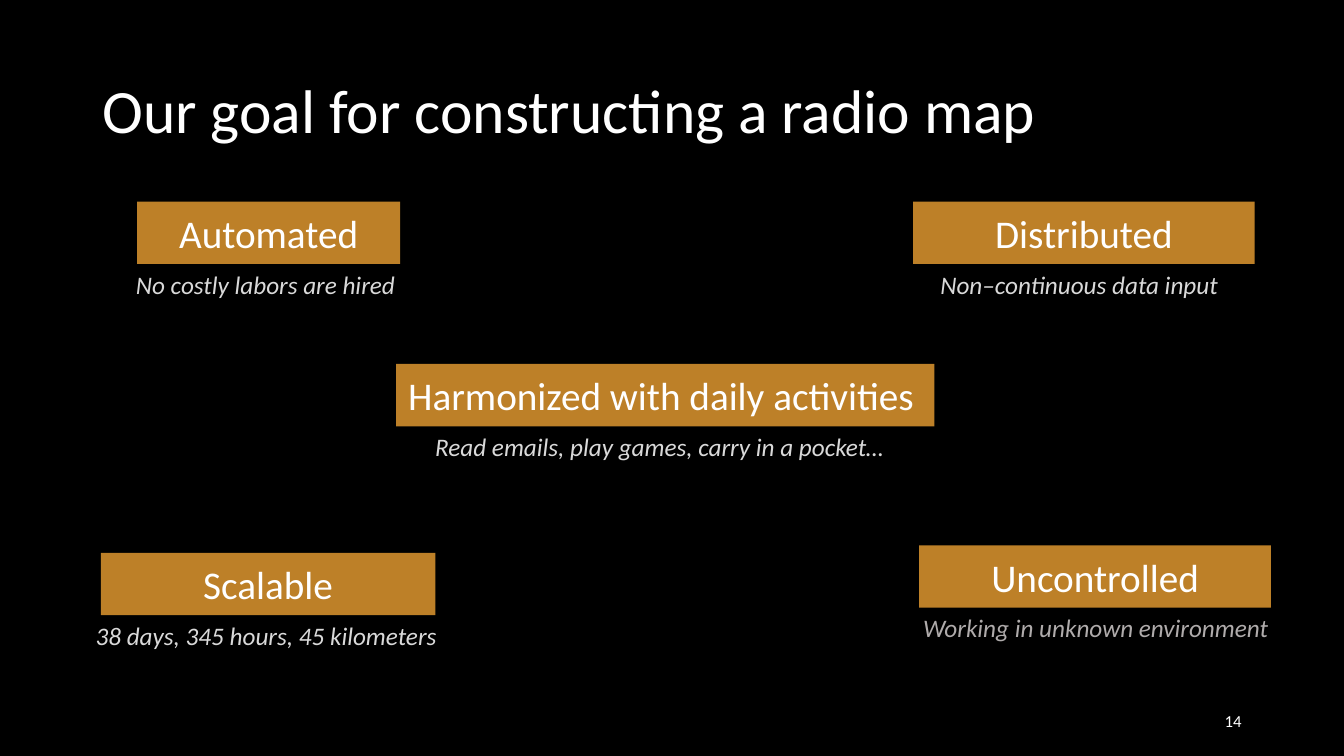
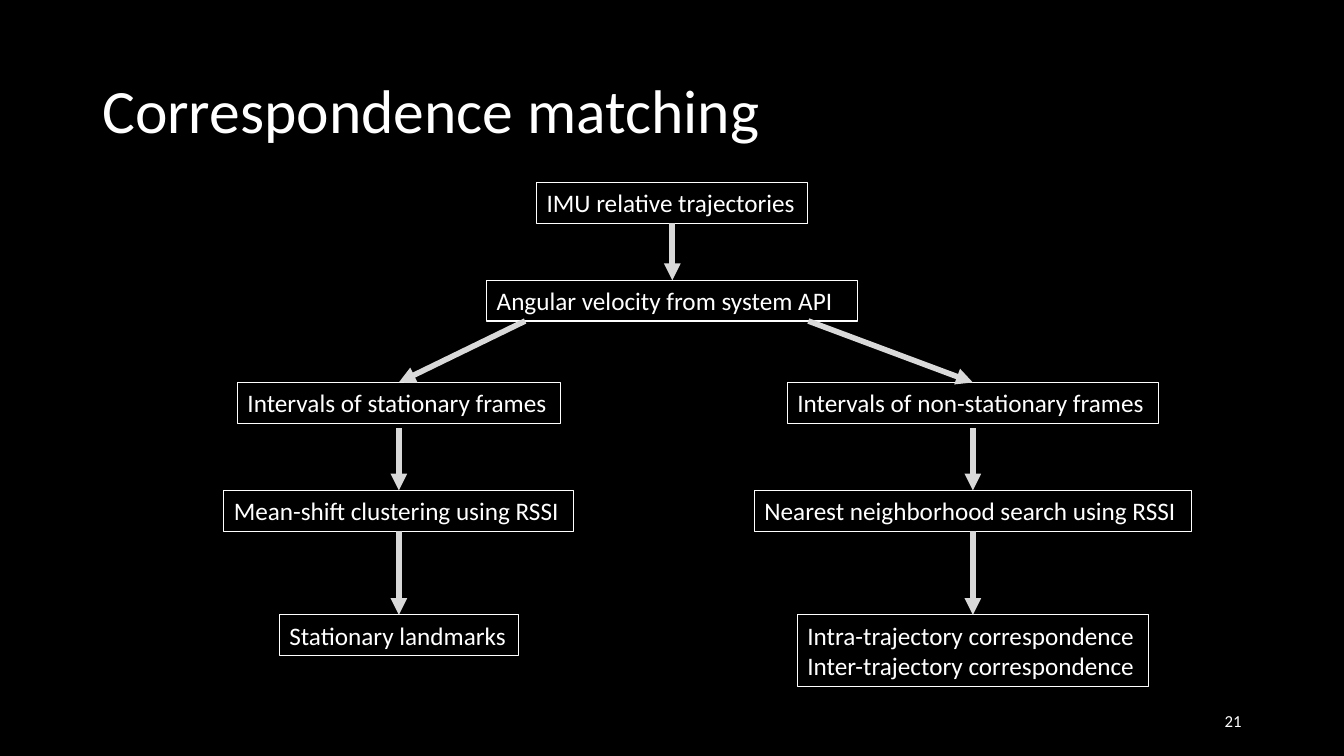
from lxml.etree import SubElement
from pptx import Presentation
from pptx.dml.color import RGBColor
from pptx.enum.shapes import MSO_CONNECTOR, MSO_SHAPE
from pptx.enum.text import MSO_ANCHOR, PP_ALIGN
from pptx.oxml.ns import qn
from pptx.util import Pt

BLACK = RGBColor(0x00, 0x00, 0x00)
WHITE = RGBColor(0xFF, 0xFF, 0xFF)
OCHRE = RGBColor(0xBD, 0x80, 0x28)
LIGHT_GRAY = RGBColor(0xD9, 0xD9, 0xD9)
DIM_GRAY = RGBColor(0xAF, 0xAB, 0xAB)

FONT = "Calibri"
BADGE_HEIGHT = 44.6
NODE_HEIGHT = 29.1
LINE_HEIGHT = 22

# Flow chart: column centres and row tops
LEFT, MIDDLE, RIGHT = 284.9, 480.2, 694.9
START_TOP, VELOCITY_TOP, INTERVAL_TOP, SEARCH_TOP, RESULT_TOP = 130.3, 200.2, 273.2, 350.3, 439.2


def write(shape, text, size=18, color=WHITE, italic=False, align=PP_ALIGN.LEFT,
          anchor=MSO_ANCHOR.TOP, line_spacing=None):
    """Fill a shape with text, one paragraph per line."""
    frame = shape.text_frame
    frame.word_wrap = True
    frame.vertical_anchor = anchor
    frame.text = text
    for para in frame.paragraphs:
        para.alignment = align
        para.line_spacing = line_spacing
        para.font.name = FONT
        para.font.size = Pt(size)
        para.font.italic = italic
        para.font.color.rgb = color


def add_text(page, left, top, width, height, text, **style):
    box = page.shapes.add_textbox(Pt(left), Pt(top), Pt(width), Pt(height))
    write(box, text, **style)


def add_box(page, left, top, width, height, text, fill=None, line=None, **style):
    box = page.shapes.add_shape(MSO_SHAPE.RECTANGLE, Pt(left), Pt(top), Pt(width), Pt(height))
    box.shadow.inherit = False
    if fill is None:
        box.fill.background()
    else:
        box.fill.solid()
        box.fill.fore_color.rgb = fill
    if line is None:
        box.line.fill.background()
    else:
        box.line.color.rgb = line
        box.line.width = Pt(0.75)
    write(box, text, **style)


def add_page(deck, title, number):
    page = deck.slides.add_slide(deck.slide_layouts[6])
    page.background.fill.solid()
    page.background.fill.fore_color.rgb = BLACK
    add_text(page, 66, 28.8, 828, 104.4, title, size=44,
             anchor=MSO_ANCHOR.MIDDLE, line_spacing=0.9)
    add_text(page, 678, 500.5, 216, 28.8, str(number), size=12,
             align=PP_ALIGN.RIGHT, anchor=MSO_ANCHOR.MIDDLE)
    return page


def add_goal(page, left, top, width, name, caption, caption_left, caption_width,
             caption_color=LIGHT_GRAY):
    """Draw a filled badge with a caption right below it."""
    add_box(page, left, top, width, BADGE_HEIGHT, name, fill=OCHRE, size=28,
            align=PP_ALIGN.CENTER, anchor=MSO_ANCHOR.MIDDLE)
    add_text(page, caption_left, top + BADGE_HEIGHT, caption_width, NODE_HEIGHT, caption,
             color=caption_color, italic=True)


def add_node(page, center, top, width, text):
    height = NODE_HEIGHT + LINE_HEIGHT * text.count("\n")
    add_box(page, center - width / 2, top, width, height, text, line=WHITE)


def add_arrow(page, start_x, start_y, end_x, end_y):
    arrow = page.shapes.add_connector(MSO_CONNECTOR.STRAIGHT, Pt(start_x), Pt(start_y),
                                      Pt(end_x), Pt(end_y))
    arrow.line.color.rgb = LIGHT_GRAY
    arrow.line.width = Pt(4)
    SubElement(arrow.line._get_or_add_ln(), qn("a:tailEnd"), type="triangle")
    SubElement(arrow._element.spPr, qn("a:effectLst"))


def build_goals(deck):
    page = add_page(deck, "Our goal for constructing a radio map", 14)
    goals = [
        (97.9, 144, 188, "Automated", "No costly labors are hired", 90, 202.3),
        (283, 259.9, 384.5, "Harmonized with daily activities ",
         "Read emails, play games, carry in a pocket…", 303.8, 342.7),
        (652.3, 144, 244, "Distributed", "Non–continuous data input", 664.6, 218.9),
        (656.6, 389.5, 251.3, "Uncontrolled", "Working in unknown environment",
         652.3, 267.1, DIM_GRAY),
        (72, 394.9, 239, "Scalable", "38 days, 345 hours, 45 kilometers", 61.2, 260.6),
    ]
    for goal in goals:
        add_goal(page, *goal)


def build_matching(deck):
    page = add_page(deck, "Correspondence matching", 21)
    nodes = [
        (MIDDLE, START_TOP, 193.7, "IMU relative trajectories"),
        (MIDDLE, VELOCITY_TOP, 265, "Angular velocity from system API"),
        (LEFT, INTERVAL_TOP, 230.4, "Intervals of stationary frames"),
        (RIGHT, INTERVAL_TOP, 265, "Intervals of non-stationary frames"),
        (LEFT, SEARCH_TOP, 250, "Mean-shift clustering using RSSI"),
        (RIGHT, SEARCH_TOP, 311.8, "Nearest neighborhood search using RSSI"),
        (LEFT, RESULT_TOP, 170.6, "Stationary landmarks"),
        (RIGHT, RESULT_TOP, 250.6,
         "Intra-trajectory correspondence\nInter-trajectory correspondence"),
    ]
    for node in nodes:
        add_node(page, *node)

    add_arrow(page, MIDDLE, START_TOP + NODE_HEIGHT, MIDDLE, VELOCITY_TOP)
    for branch_x, column in ((375.1, LEFT), (577.4, RIGHT)):
        add_arrow(page, branch_x, VELOCITY_TOP + NODE_HEIGHT, column, INTERVAL_TOP)
        add_arrow(page, column, INTERVAL_TOP + NODE_HEIGHT + 3.5, column, SEARCH_TOP)
        add_arrow(page, column, SEARCH_TOP + NODE_HEIGHT, column, RESULT_TOP)


def main():
    deck = Presentation()
    deck.slide_width = Pt(960)
    deck.slide_height = Pt(540)
    build_goals(deck)
    build_matching(deck)
    deck.save("out.pptx")


if __name__ == "__main__":
    main()
